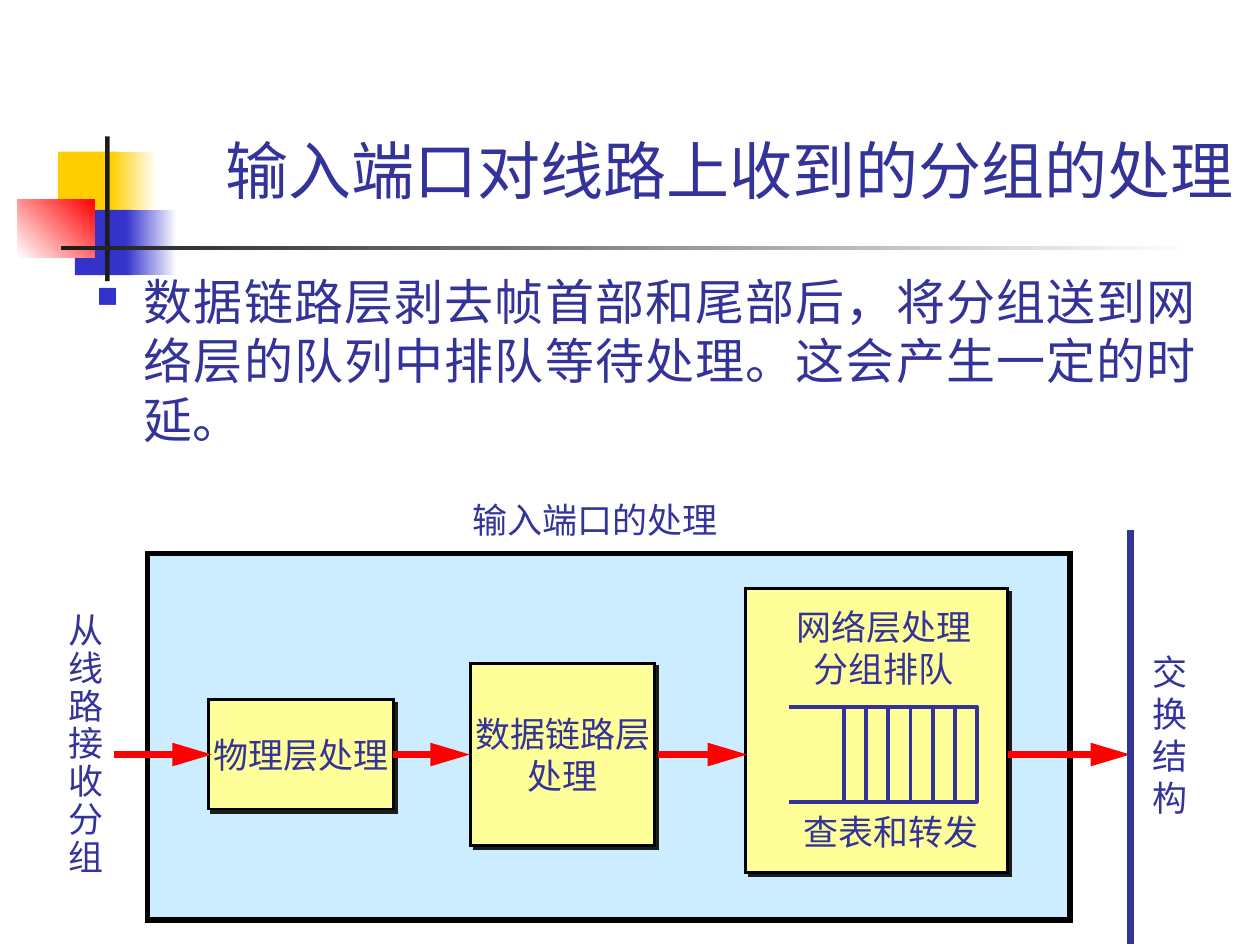
"""Build the slide on how a router's input port processes received packets."""
from lxml.etree import SubElement
from pptx import Presentation
from pptx.dml.color import RGBColor
from pptx.enum.shapes import MSO_CONNECTOR, MSO_SHAPE
from pptx.enum.text import MSO_ANCHOR, MSO_AUTO_SIZE, PP_ALIGN
from pptx.oxml import parse_xml
from pptx.oxml.ns import nsdecls, qn
from pptx.util import Cm, Pt

FONT = "Arial"
INK = RGBColor(0x33, 0x33, 0x99)
BLUE = RGBColor(0x33, 0x33, 0xCC)
GOLD = RGBColor(0xFF, 0xCF, 0x01)
RED = RGBColor(0xFF, 0x00, 0x00)
DARK = RGBColor(0x1C, 0x1C, 0x1C)
BLACK = RGBColor(0x00, 0x00, 0x00)
WHITE = RGBColor(0xFF, 0xFF, 0xFF)
SKY = RGBColor(0xCC, 0xEC, 0xFF)
CREAM = RGBColor(0xFF, 0xFF, 0x99)

TITLE = "输入端口对线路上收到的分组的处理"
POINT = "数据链路层剥去帧首部和尾部后，将分组送到网络层的队列中排队等待处理。这会产生一定的时延。"

ORNAMENTS = [
    ((1.17, 3.06, 1.22, 1.32), (GOLD,), 0),
    ((2.24, 3.06, 0.91, 1.32), (GOLD, WHITE), 0),
    ((1.51, 4.23, 1.17, 1.32), (BLUE,), 0),
    ((2.54, 4.23, 1.02, 1.32), (BLUE, WHITE), 0),
    ((0.36, 4.02, 1.55, 1.17), (WHITE, RED), 45),
    ((2.12, 2.75, 0.09, 2.92), (DARK,), 0),
    ((1.23, 4.95, 22.86, 0.09), (DARK, WHITE), 0),
]
PORT = (2.98, 11.16, 18.59, 7.39)
STAGES = [
    ((4.2, 14.1, 3.73, 2.21), ["物理层处理"]),
    ((9.49, 13.37, 3.71, 3.68), ["数据链路层", "处理"]),
    ((15.03, 11.87, 5.28, 5.72), []),
]
LABELS = [
    ((15.8, 12.08, 4.04, 1.96), ["网络层处理", "分组排队"], 1),
    ((22.97, 12.99, 1.22, 3.63), list("交换结构"), 1),
    ((9.07, 9.93, 5.84, 1.09), ["输入端口的处理"], 1),
    ((1.13, 12.24, 1.22, 5.59), list("从线路接收分组"), 0.9),
    ((15.95, 16.22, 4.04, 1.09), ["查表和转发"], 1),
]
FLOW_Y = 15.21
FLOWS = [(2.29, 4.27), (7.92, 9.47), (13.26, 15.06), (20.32, 22.78)]
FABRIC_X, FABRIC_TOP, FABRIC_BOTTOM = 22.79, 10.68, 19.02
QUEUE_LEFT, QUEUE_RIGHT, QUEUE_TOP, QUEUE_BOTTOM = 15.91, 19.69, 14.25, 16.16
SLOT, SLOTS = 0.445, 6


def add_box(shapes, place, colors, angle=0, border=0):
    box = shapes.add_shape(MSO_SHAPE.RECTANGLE, *map(Cm, place))
    box.shadow.inherit = False
    if len(colors) == 1:
        box.fill.solid()
        box.fill.fore_color.rgb = colors[0]
    else:
        box.fill.gradient()
        box.fill.gradient_angle = angle
        for stop, color in zip(box.fill.gradient_stops, colors):
            stop.color.rgb = color
    if border:
        box.line.color.rgb = BLACK
        box.line.width = Pt(border)
        SubElement(box.line._get_or_add_ln(), qn("a:miter"), lim="800000")
    else:
        box.line.fill.background()
    return box


def drop_shadow(box):
    effects = box._element.spPr.find(qn("a:effectLst"))
    effects.append(parse_xml(
        f'<a:outerShdw {nsdecls("a")} dist="{Pt(2.8)}" dir="2700000" algn="ctr" rotWithShape="0">'
        f'<a:srgbClr val="{DARK}"/></a:outerShdw>'))


def add_line(shapes, start, end, color, width, arrow=False):
    line = shapes.add_connector(MSO_CONNECTOR.STRAIGHT, *map(Cm, start + end))
    line.line.color.rgb = color
    line.line.width = Pt(width)
    if arrow:
        SubElement(line.line._get_or_add_ln(), qn("a:tailEnd"), type="triangle", len="lg")
    SubElement(line._element.spPr, qn("a:effectLst"))


def write(frame, lines, size, align=PP_ALIGN.CENTER, spacing=1, bullet=None):
    frame.text = "\n".join(lines)
    for paragraph in frame.paragraphs:
        paragraph.alignment = align
        paragraph.line_spacing = spacing
        if bullet:
            add_bullet(paragraph, bullet)
        paragraph.font.name = FONT
        paragraph.font.size = Pt(size)
        paragraph.font.color.rgb = INK


def add_bullet(paragraph, mark):
    properties = paragraph._p.get_or_add_pPr()
    properties.set("marL", str(Cm(0.95)))
    properties.set("indent", str(-Cm(0.95)))
    SubElement(SubElement(properties, qn("a:buClr")), qn("a:srgbClr"), val=str(BLUE))
    SubElement(properties, qn("a:buSzPct"), val="60000")
    SubElement(properties, qn("a:buChar"), char=mark)


def add_title(shapes):
    title = shapes.title
    title.left, title.top, title.width, title.height = map(Cm, (4.29, 2.18, 21.11, 2.13))
    title.text_frame.auto_size = MSO_AUTO_SIZE.NONE
    title.text_frame.vertical_anchor = MSO_ANCHOR.BOTTOM
    write(title.text_frame, [TITLE], 36, PP_ALIGN.LEFT)


def add_point(shapes):
    frame = shapes.add_textbox(*map(Cm, (1.7, 5.35, 22.66, 4.19))).text_frame
    frame.word_wrap = True
    write(frame, [POINT], 28, PP_ALIGN.JUSTIFY, bullet="■")


def add_queue(shapes):
    outline = shapes.build_freeform(Cm(QUEUE_LEFT), Cm(QUEUE_TOP))
    corners = [(QUEUE_RIGHT, QUEUE_TOP), (QUEUE_RIGHT, QUEUE_BOTTOM), (QUEUE_LEFT, QUEUE_BOTTOM)]
    outline.add_line_segments([(Cm(x), Cm(y)) for x, y in corners], close=False)
    queue = outline.convert_to_shape()
    queue.shadow.inherit = False
    queue.fill.solid()
    queue.fill.fore_color.rgb = CREAM
    queue.line.color.rgb = INK
    queue.line.width = Pt(2.25)
    for slot in range(1, SLOTS + 1):
        x = QUEUE_RIGHT - slot * SLOT
        add_line(shapes, (x, QUEUE_TOP), (x, QUEUE_BOTTOM), INK, 2.25)


def main():
    deck = Presentation()
    deck.slide_width, deck.slide_height = Cm(25.4), Cm(19.05)
    shapes = deck.slides.add_slide(deck.slide_layouts[5]).shapes
    for place, colors, angle in ORNAMENTS:
        add_box(shapes, place, colors, angle)
    add_title(shapes)
    add_point(shapes)
    add_box(shapes, PORT, (SKY,), border=3)
    for place, lines in STAGES:
        stage = add_box(shapes, place, (CREAM,), border=1.5)
        drop_shadow(stage)
        if lines:
            stage.text_frame.word_wrap = False
            stage.text_frame.vertical_anchor = MSO_ANCHOR.MIDDLE
            write(stage.text_frame, lines, 20)
    for start, end in FLOWS:
        add_line(shapes, (start, FLOW_Y), (end, FLOW_Y), RED, 4.5, arrow=True)
    add_line(shapes, (FABRIC_X, FABRIC_TOP), (FABRIC_X, FABRIC_BOTTOM), INK, 4.5)
    add_queue(shapes)
    for place, lines, spacing in LABELS:
        label = shapes.add_textbox(*map(Cm, place)).text_frame
        label.word_wrap = False
        write(label, lines, 20, spacing=spacing)
    deck.save("out.pptx")


if __name__ == "__main__":
    main()
